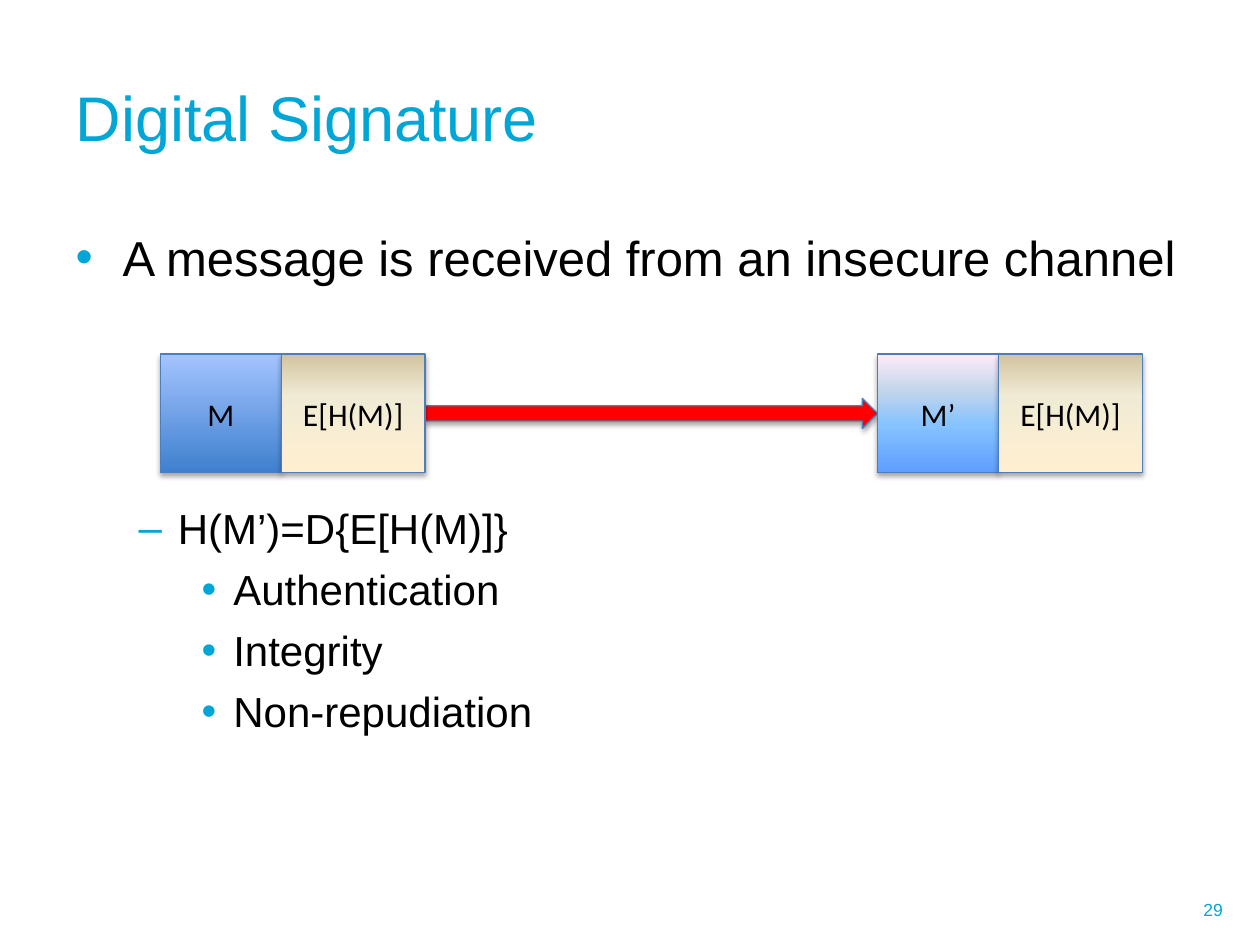
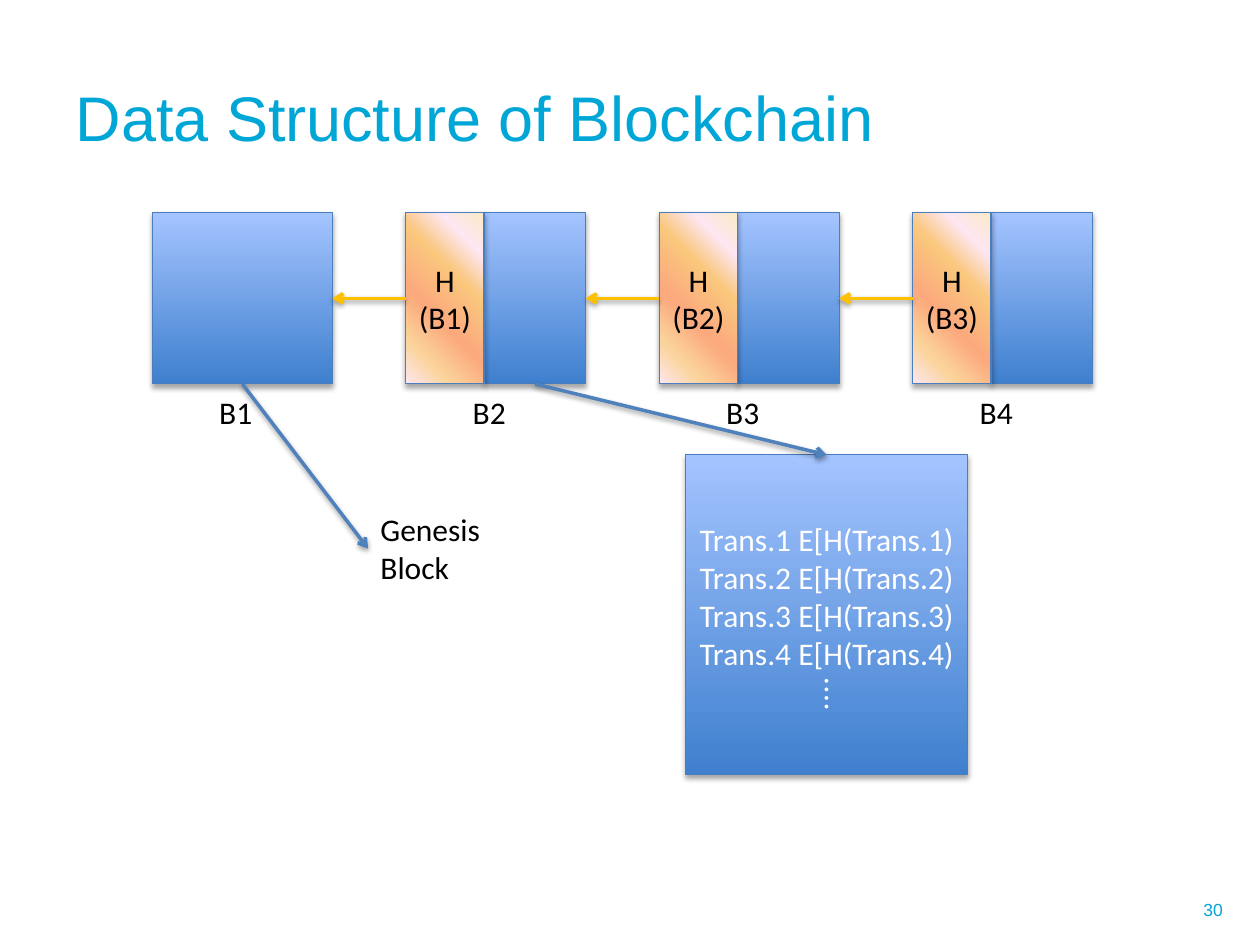
from lxml import etree
from pptx import Presentation
from pptx.dml.color import RGBColor
from pptx.enum.shapes import MSO_CONNECTOR, MSO_SHAPE
from pptx.enum.text import MSO_ANCHOR, MSO_AUTO_SIZE, PP_ALIGN
from pptx.oxml.ns import qn
from pptx.util import Cm, Pt

RECT, ARROW = MSO_SHAPE.RECTANGLE, MSO_SHAPE.RIGHT_ARROW
LINE = MSO_CONNECTOR.STRAIGHT
MIDDLE, TOP = MSO_ANCHOR.MIDDLE, MSO_ANCHOR.TOP
LEFT, CENTER, RIGHT = PP_ALIGN.LEFT, PP_ALIGN.CENTER, PP_ALIGN.RIGHT
FIXED = MSO_AUTO_SIZE.NONE

HUES = {"accent": "00A6D6", "text": "000000", "light": "FFFFFF", "edge": "4B7EBC",
        "red": "FF0000", "gold": "FFC000", "blue": "4F81BD", "shade": "000000"}
# Gradient: angle, then stops of (percent, colour)
FADES = {
    "blue": (90, [(0, "3F80CE"), (100, "A4C4FF")]),
    "sand": (90, [(0, "FFEFD1"), (65, "F0EBD5"), (100, "D1C39F")]),
    "sky": (90, [(0, "5E9EFF"), (40, "85C2FF"), (70, "C4D6EB"), (100, "FFEBFA")]),
    "peach": (225, [(0, "FBEAC7"), (18, "FEE7F2"), (36, "FAC77D"), (61, "FBA97D"),
                    (82, "FBD49C"), (100, "FEE7F2")]),
}
# List level: text indent (cm), hanging (cm), bullet, size (pt)
LEVELS = [(0.95, 0.95, "•", 28), (2.06, 0.79, "–", 24), (3.18, 0.64, "•", 24)]


def rgb(name):
    return RGBColor.from_string(HUES[name])


def add(parent, tag, **attrs):
    return etree.SubElement(parent, qn(tag), {k: str(v) for k, v in attrs.items()})


def style(para, size, hue="text", face="Calibri", align=LEFT):
    para.alignment = align
    para.font.size, para.font.name = Pt(size), face
    para.font.color.rgb = rgb(hue)


def place(shape, box):
    shape.left, shape.top, shape.width, shape.height = (Cm(v) for v in box)


def write(shape, text, size=18, hue="text", face="Calibri", align=LEFT, anchor=TOP):
    frame = shape.text_frame
    frame.word_wrap, frame.auto_size = True, FIXED
    frame.vertical_anchor = anchor
    frame.text = text
    for para in frame.paragraphs:
        style(para, size, hue, face, align)


def label(slide, box, text, **looks):
    shape = slide.shapes.add_textbox(*(Cm(v) for v in box))
    write(shape, text, **looks)
    return shape


def cast(effects, alpha, dist):
    """Add a soft shadow that falls straight down."""
    shadow = add(effects, "a:outerShdw", blurRad=Pt(3.1), dist=Pt(dist),
                 dir=5400000, rotWithShape=0)
    color = add(shadow, "a:srgbClr", val=HUES["shade"])
    add(color, "a:alpha", val=alpha * 1000)


def solid(slide, kind, box):
    shape = slide.shapes.add_shape(kind, *(Cm(v) for v in box))
    shape.line.color.rgb, shape.line.width = rgb("edge"), Pt(0.75)
    shape.shadow.inherit = False
    cast(shape._element.spPr.find(qn("a:effectLst")), 35, 1.8)
    return shape


def block(slide, box, fade, text="", hue="text"):
    shape = solid(slide, RECT, box)
    angle, stops = FADES[fade]
    shape.fill.gradient()
    shape.fill.gradient_angle = angle
    ramp = shape._element.spPr.find(qn("a:gradFill")).find(qn("a:gsLst"))
    for stop in list(ramp):
        ramp.remove(stop)
    for pos, color in stops:
        add(add(ramp, "a:gs", pos=pos * 1000), "a:srgbClr", val=color)
    if text:
        frame = shape.text_frame
        frame.margin_left = frame.margin_right = Cm(0.1)
        write(shape, text, hue=hue, align=CENTER, anchor=MIDDLE)
    return shape


def link(slide, start, side, end, goal, hue):
    line = slide.shapes.add_connector(LINE, 0, 0, 0, 0)
    line.begin_connect(start, side)
    line.end_connect(end, goal)
    line.line.color.rgb, line.line.width = rgb(hue), Pt(2)
    props = line._element.spPr
    add(props.find(qn("a:ln")), "a:tailEnd", type="arrow")
    cast(add(props, "a:effectLst"), 38, 1.6)


def page(deck, layout, title, number):
    """Start a slide with the shared title and page number."""
    slide = deck.slides.add_slide(deck.slide_layouts[layout])
    place(slide.shapes.title, (1.27, 0.76, 23.22, 3.18))
    write(slide.shapes.title, title, 36, "accent", "Arial", anchor=MIDDLE)
    label(slide, (18.47, 17.83, 6.43, 1.02), str(number), size=10, hue="accent",
          face="Arial", align=RIGHT, anchor=MIDDLE)
    return slide


def points(body, box, items):
    """Fill the body with (level, space before, text) items."""
    place(body, box)
    frame = body.text_frame
    frame.auto_size = FIXED
    frame.text = "\n".join(text for _, _, text in items)
    for para, (level, space, _) in zip(frame.paragraphs, items):
        indent, hang, mark, size = LEVELS[level]
        para.level, para.space_before = level, Pt(space)
        props = para._p.get_or_add_pPr()
        props.set("marL", str(Cm(indent)))
        props.set("indent", str(-Cm(hang)))
        add(add(props, "a:buClr"), "a:srgbClr", val=HUES["accent"])
        add(props, "a:buFont", typeface="Arial")
        add(props, "a:buChar", char=mark)
        style(para, size, face="Arial")


def channel(slide, left, top, width):
    """Draw the sent and received pairs with the arrow between them."""
    plain, sealed, high, thick = 2.44, 2.9, 2.39, 0.61
    pair = plain + sealed
    far = left + width - pair
    arrow = solid(slide, ARROW, (left + pair, top + (high - thick) / 2,
                                 width - 2 * pair, thick))
    arrow.fill.solid()
    arrow.fill.fore_color.rgb = rgb("red")
    for x, text, fade in ((left, "M", "blue"), (far, "M’", "sky")):
        block(slide, (x, top, plain, high), fade, text)
        block(slide, (x + plain, top, sealed, high), "sand", "E[H(M)]")


def chain(slide, left, top, count):
    """Draw the linked blocks; return the body of each one."""
    step, wide, high, slim = 5.11, 3.63, 3.45, 1.58
    bodies = []
    for i in range(count):
        x = left + i * step
        inset = slim if i else 0
        body = block(slide, (x + inset, top, wide - inset, high), "blue")
        if i:
            mark = block(slide, (x, top, slim, high), "peach", f"H\n(B{i})")
            link(slide, mark, 1, bodies[-1], 3, "gold")
        label(slide, (x + 1.1, top + high + 0.06, 1.4, 1.02), f"B{i + 1}")
        bodies.append(body)
    return bodies


def signature(deck):
    slide = page(deck, 1, "Digital Signature", 29)
    points(slide.placeholders[1], (1.27, 4.45, 23.22, 12.57), [
        (0, 6, "A message is received from an insecure channel"),
        (1, 124, "H(M’)=D{E[H(M)]}"),
        (2, 6, "Authentication"),
        (2, 6, "Integrity"),
        (2, 6, "Non-repudiation"),
    ])
    channel(slide, 3.23, 7.14, 19.8)


def blockchain(deck):
    slide = page(deck, 5, "Data Structure of Blockchain", 30)
    bodies = chain(slide, 3.07, 4.29, 4)
    # Contents of the second block
    rows = [f"Trans.{n} E[H(Trans.{n})" for n in range(1, 5)] + ["⁞"]
    trades = block(slide, (13.82, 9.17, 5.69, 6.45), "blue", "\n".join(rows), "light")
    link(slide, bodies[1], 2, trades, 0, "blue")
    # Note on the first block
    note = label(slide, (7.42, 10.16, 3.35, 1.8), "Genesis Block")
    link(slide, bodies[0], 2, note, 1, "blue")


def main():
    deck = Presentation()
    deck.slide_width, deck.slide_height = Cm(25.4), Cm(19.05)
    signature(deck)
    blockchain(deck)
    deck.save("out.pptx")


if __name__ == "__main__":
    main()
